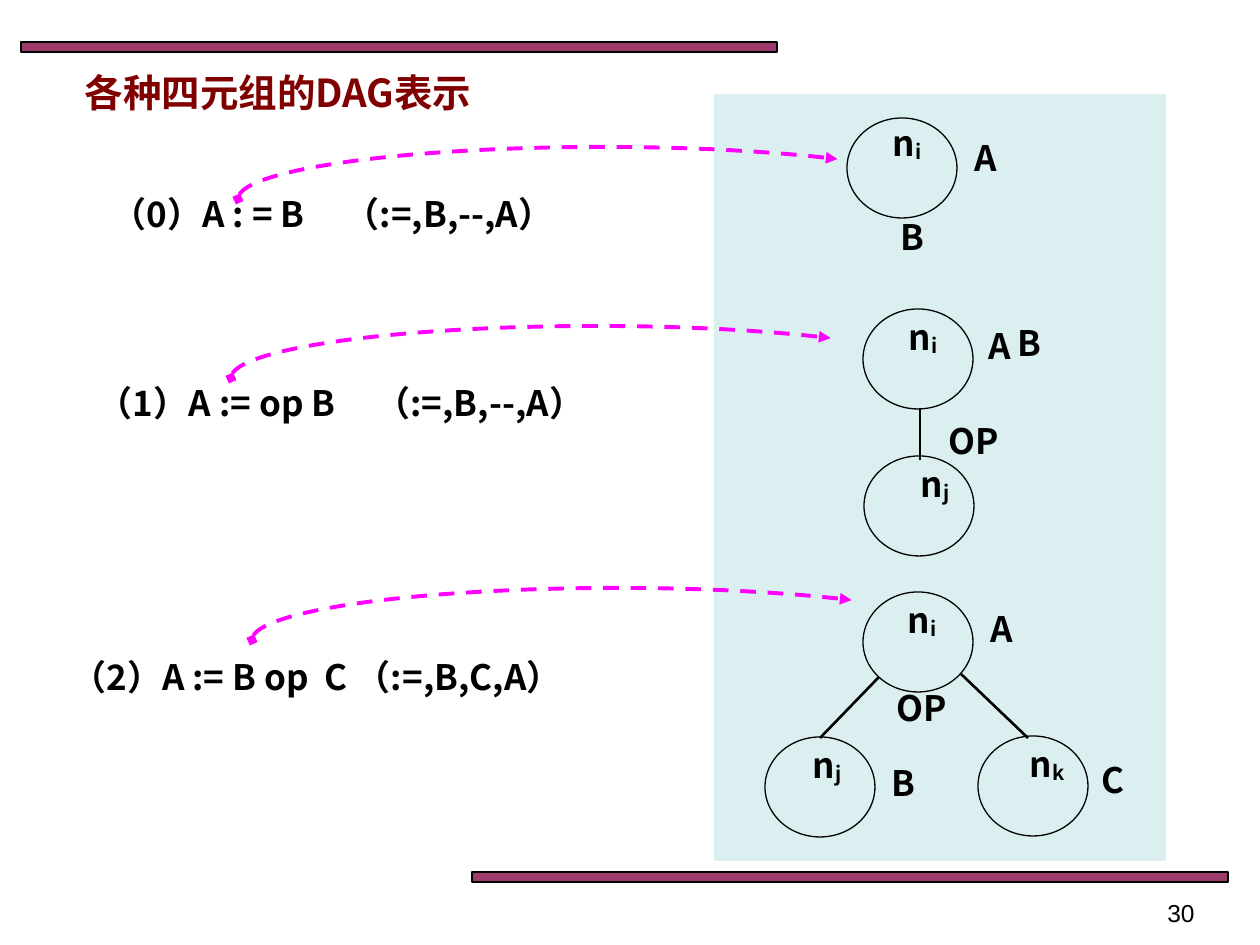
from math import cos, radians, sin

from lxml.etree import SubElement
from pptx import Presentation
from pptx.dml.color import RGBColor
from pptx.enum.dml import MSO_LINE
from pptx.enum.shapes import MSO_CONNECTOR, MSO_SHAPE
from pptx.enum.text import MSO_ANCHOR, MSO_AUTO_SIZE, PP_ALIGN
from pptx.oxml.ns import qn
from pptx.util import Pt

SCALE = 914400 / 126
FONT = "Noto Sans CJK SC"
NODE_WIDTH, NODE_HEIGHT = 110, 100
LABEL_WIDTH, LABEL_HEIGHT = 100, 55

QUADRUPLES = [
    ("（0）A : = B     （:=,B,--,A）", (15, 186, 635, 55), (223, 13)),
    ("（1）A := op B     （:=,B,--,A）", (47, 375, 588, 54), (184, 3)),
    ("（2）A := B op  C （:=,B,C,A）", (24, 649, 585, 54), (228, -9)),
]

GRAPHS = [
    {
        "origin": (847, 118),
        "nodes": [(0, 0, "i", 60, -3)],
        "labels": [("B", 65, 91), ("A", 139, 12)],
        "edges": [],
        "weight": 0.75,
    },
    {
        "origin": (863, 309),
        "nodes": [(0, 0, "i", 60, 0), (1, 147, "j", 71, 0)],
        "labels": [("A", 137, 9), ("B", 166, 6), ("OP", 111, 104)],
        "edges": [(57, 99, 57, 151)],
        "weight": 0.75,
    },
    {
        "origin": (863, 592),
        "nodes": [(0, 0, "i", 59, 0), (115, 144, "k", 69, 0), (-98, 145, "j", 62, 0)],
        "labels": [("A", 139, 9), ("OP", 59, 88), ("B", 40, 163), ("C", 250, 160)],
        "edges": [(16, 85, -43, 146), (165, 146, 98, 82)],
        "weight": 1.5,
    },
]


def emu(*lengths):
    """Turn px lengths into EMU."""
    return [round(length * SCALE) for length in lengths]


def color(value):
    """Turn a hex string into a colour."""
    return RGBColor.from_string(value)


def set_values(target, values):
    """Set each attribute named in a dict."""
    for name, value in values.items():
        setattr(target, name, value)


def write(box, spans, size=20, ink="000000", font=FONT, bold=True, align=PP_ALIGN.CENTER):
    """Fill a box with one paragraph of (text, baseline) spans."""
    frame = box.text_frame
    set_values(frame, {
        "word_wrap": True,
        "auto_size": MSO_AUTO_SIZE.SHAPE_TO_FIT_TEXT,
        "vertical_anchor": MSO_ANCHOR.TOP,
    })
    para = frame.paragraphs[0]
    set_values(para, {"alignment": align, "space_before": Pt(0)})
    for text, baseline in spans:
        span = para.add_run()
        span.text = text
        set_values(span.font, {"name": font, "size": Pt(size), "bold": bold})
        span.font.color.rgb = color(ink)
        properties = span.font._element
        SubElement(properties, qn("a:ea")).set("typeface", font)
        if baseline:
            properties.set("baseline", str(baseline * 1000))


def add_text(shapes, box, spans, **style):
    """Add a text box holding the given spans."""
    write(shapes.add_textbox(*emu(*box)), spans, **style)


def add_block(shapes, box, fill, opacity):
    """Add a translucent rectangle."""
    block = shapes.add_shape(MSO_SHAPE.RECTANGLE, *emu(*box))
    block.shadow.inherit = False
    block.fill.solid()
    block.fill.fore_color.rgb = color(fill)
    tint = block.fill._xPr.find(qn("a:solidFill"))[0]
    SubElement(tint, qn("a:alpha")).set("val", str(opacity * 1000))
    return block


def add_bar(shapes, left, top):
    """Add one decorative bar."""
    bar = add_block(shapes, (left, top, 756, 10), "993366", 96)
    bar.line.color.rgb = color("000000")
    bar.line.width = Pt(0.75)


def add_node(shapes, left, top, subscript, center, drop):
    """Add a graph node with its subscripted name."""
    node = shapes.add_shape(MSO_SHAPE.OVAL, *emu(left, top, NODE_WIDTH, NODE_HEIGHT))
    node.shadow.inherit = False
    node.fill.background()
    node.line.color.rgb = color("000000")
    node.line.width = Pt(0.75)
    add_label(shapes, left + center, top + drop, [("n", 0), (subscript, -10)])


def add_label(shapes, center, top, spans):
    """Add a label centred on a horizontal position."""
    add_text(shapes, (center - LABEL_WIDTH // 2, top, LABEL_WIDTH, LABEL_HEIGHT), spans)


def add_edge(shapes, ends, weight):
    """Add a straight edge between two nodes."""
    edge = shapes.add_connector(MSO_CONNECTOR.STRAIGHT, *emu(*ends))
    edge.line.color.rgb = color("000000")
    edge.line.width = Pt(weight)
    SubElement(edge._element.spPr, qn("a:effectLst"))


def add_graph(shapes, origin, nodes, labels, edges, weight):
    """Draw one graph relative to its origin."""
    left, top = origin
    for x, y, *name in nodes:
        add_node(shapes, left + x, top + y, *name)
    for x1, y1, x2, y2 in edges:
        add_edge(shapes, (left + x1, top + y1, left + x2, top + y2), weight)
    for text, x, y in labels:
        add_label(shapes, left + x, top + y, [(text, 0)])


def add_arc(shapes, left, top):
    """Draw a dashed elliptical arrow starting at the given point."""
    radius_x, radius_y, sweep, steps = 365, 52, 130, 40
    angles = [radians(sweep * step / steps) for step in range(steps + 1)]
    points = [
        emu(left + radius_x * (1 - cos(angle)), top - radius_y * sin(angle))
        for angle in angles
    ]
    builder = shapes.build_freeform(*points[0])
    builder.add_line_segments(points[1:], close=False)
    arc = builder.convert_to_shape()
    arc.shadow.inherit = False
    arc.fill.background()
    arc.line.color.rgb = color("FF00FF")
    set_values(arc.line, {"width": Pt(2.25), "dash_style": MSO_LINE.DASH})
    outline = arc.line._get_or_add_ln()
    for end, kind in {"headEnd": "diamond", "tailEnd": "triangle"}.items():
        SubElement(outline, qn(f"a:{end}")).set("type", kind)


def add_quadruple(shapes, text, box, arc_start):
    """Add a quadruple and the arrow leading to its graph."""
    add_text(shapes, box, [(text, 0)])
    add_arc(shapes, box[0] + arc_start[0], box[1] + arc_start[1])


def add_title(page, box):
    """Place and format the title."""
    title = page.shapes.title
    set_values(title, dict(zip(("left", "top", "width", "height"), emu(*box))))
    write(title, [("各种四元组的DAG表示", 0)], size=22, ink="800000")


def main():
    """Build and save the slide."""
    deck = Presentation()
    deck.slide_width, deck.slide_height = emu(1260, 945)
    page = deck.slides.add_slide(deck.slide_layouts[5])
    add_bar(page.shapes, 21, 42)
    add_bar(page.shapes, 472, 872)
    add_text(page.shapes, (914, 892, 293, 34), [("30", 0)],
             size=14, font="Arial", bold=False, align=PP_ALIGN.RIGHT)
    add_title(page, (10, 63, 536, 59))
    panel = page.shapes.add_group_shape().shapes
    add_block(panel, (714, 94, 452, 767), "BBE0E3", 50).line.fill.background()
    for graph in GRAPHS:
        add_graph(panel, **graph)
    for quadruple in QUADRUPLES:
        add_quadruple(page.shapes, *quadruple)
    deck.save("out.pptx")


if __name__ == "__main__":
    main()
